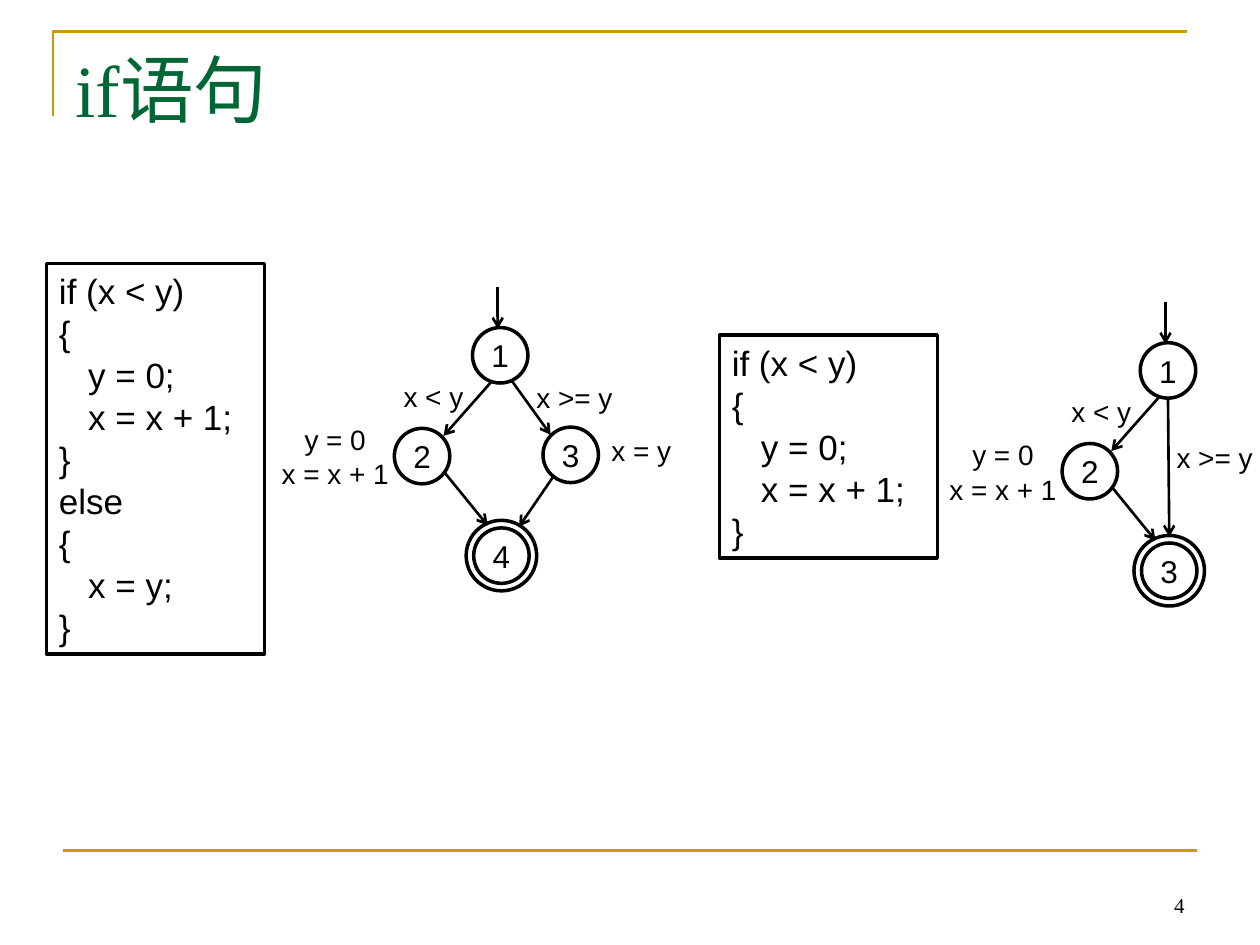
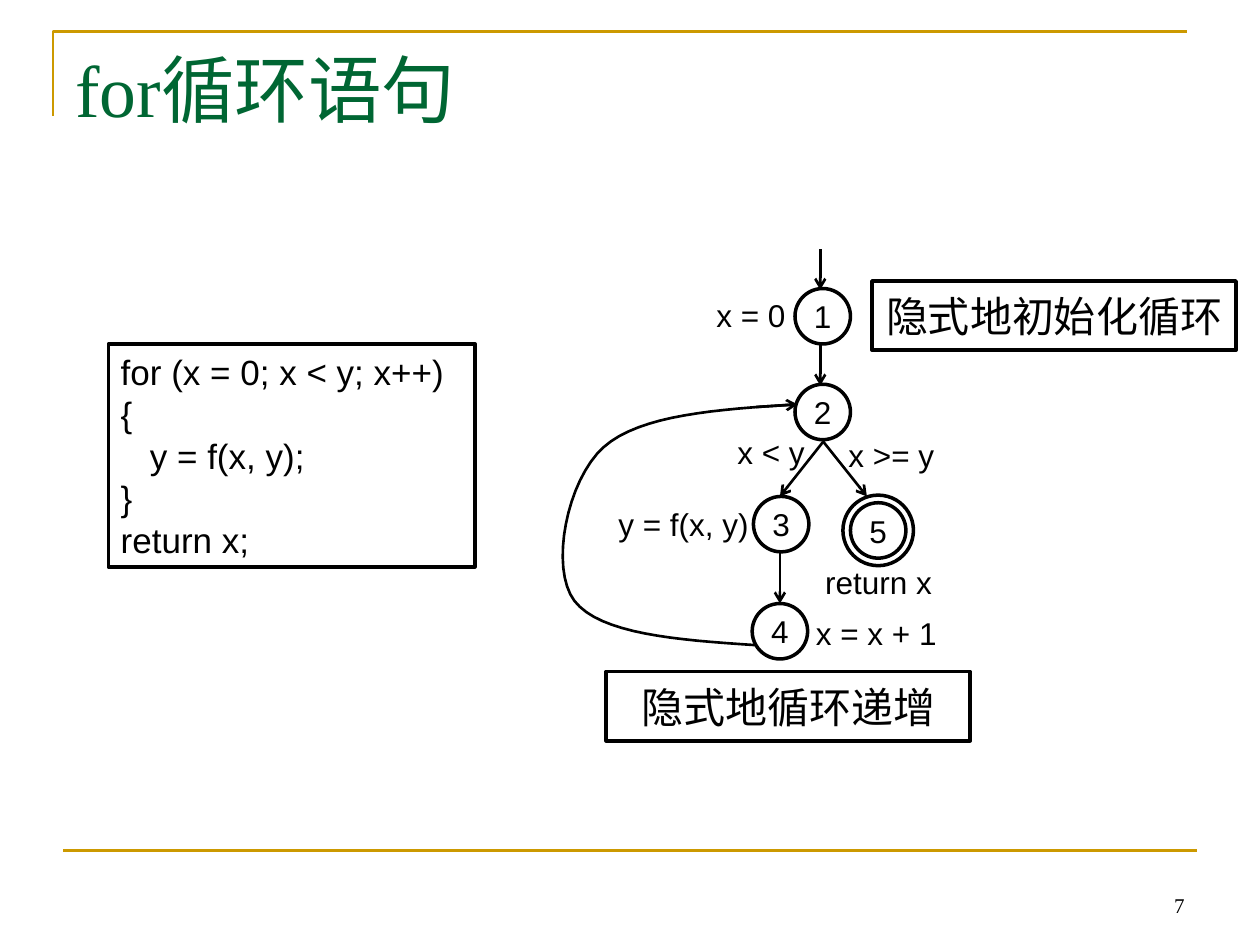
"""Build two slides on control flow graphs for if and for statements."""
from pptx import Presentation
from pptx.dml.color import RGBColor
from pptx.enum.shapes import MSO_CONNECTOR, MSO_SHAPE
from pptx.enum.text import MSO_ANCHOR, PP_ALIGN
from pptx.oxml.ns import qn
from pptx.util import Inches, Pt
from lxml.etree import SubElement

GOLD = RGBColor(0xCC, 0x99, 0x00)
GREEN = RGBColor(0x00, 0x66, 0x33)
BLACK = RGBColor(0x00, 0x00, 0x00)
WHITE = RGBColor(0xFF, 0xFF, 0xFF)
LEFT, CENTER, RIGHT = PP_ALIGN.LEFT, PP_ALIGN.CENTER, PP_ALIGN.RIGHT
NODE, RING_GAP = 0.44, 0.06


def write(sp, lines, size, font="Arial", color=BLACK, align=LEFT,
          anchor=MSO_ANCHOR.TOP, spacing=1, before=0):
    tf = sp.text_frame
    tf.word_wrap = True
    tf.vertical_anchor = anchor
    for i, line in enumerate(lines):
        p = tf.paragraphs[0] if i == 0 else tf.add_paragraph()
        p.alignment = align
        p.line_spacing = spacing
        p.space_before = Pt(before if i else 0)
        r = p.add_run()
        r.text = line
        r.font.name, r.font.size, r.font.color.rgb = font, Pt(size), color


def add_line(s, ends, color=BLACK, arrow=True):
    cn = s.shapes.add_connector(MSO_CONNECTOR.STRAIGHT, *map(Inches, ends))
    cn.line.color.rgb, cn.line.width = color, Pt(1.5)
    SubElement(cn._element.spPr, qn("a:effectLst"))
    if arrow:
        SubElement(cn.line._get_or_add_ln(), qn("a:tailEnd"), type="arrow")


if_code = ["if (x < y)", "{", "   y = 0;", "   x = x + 1;", "}"]
else_code = ["else", "{", "   x = y;", "}"]
for_code = ["for (x = 0; x < y; x++)", "{", "   y = f(x, y);", "}", "return x;"]

if_slide = {
    "title": "if语句", "number": "4", "label_size": 16,
    "codes": [(0.37, 2.09, 1.73, 3.1, if_code + else_code),
              (5.71, 2.66, 1.73, 1.77, if_code)],
    "notes": [],
    "nodes": [("3", 4.31, 3.39, False)],
    "arrows": [(4.06, 3.02, 4.37, 3.45), (4.4, 3.77, 4.12, 4.18),
               (9.27, 3.15, 9.28, 4.26)],
    "labels": [(4.08, 2.97, 0.96, 0.37, ["x >= y"], 1, CENTER),
               (4.61, 3.39, 0.96, 0.37, ["x = y"], 1, CENTER),
               (9.16, 3.45, 0.96, 0.37, ["x >= y"], 1, CENTER)],
}
for dx, dy, last in [(0, 0, "4"), (5.3, 0.12, "3")]:
    if_slide["nodes"] += [(name, x + dx, y + dy, final) for name, x, y, final in [
        ("1", 3.75, 2.6, False), ("2", 3.13, 3.4, False), (last, 3.76, 4.19, True)]]
    if_slide["arrows"] += [(x1 + dx, y1 + dy, x2 + dx, y2 + dy) for x1, y1, x2, y2 in [
        (3.95, 2.28, 3.95, 2.61), (3.9, 3.03, 3.52, 3.46), (3.52, 3.74, 3.87, 4.17)]]
    if_slide["labels"] += [
        (3.03 + dx, 2.96 + dy, 0.82, 0.37, ["x < y"], 1, CENTER),
        (2.12 + dx, 3.42 + dy, 1.08, 0.51, ["y = 0", "x = x + 1"], 0.5, CENTER)]

for_slide = {
    "title": "for循环语句", "number": "7", "label_size": 18,
    "codes": [(0.86, 2.73, 2.91, 1.77, for_code)],
    "notes": [(6.92, 2.23, "隐式地初始化循环"), (4.81, 5.33, "隐式地循环递增")],
    "nodes": [("1", 6.31, 2.29, False), ("2", 6.31, 3.05, False),
              ("3", 5.98, 3.94, False), ("4", 5.97, 4.79, False),
              ("5", 6.75, 3.99, True)],
    "arrows": [(6.51, 1.98, 6.51, 2.3), (6.51, 2.74, 6.51, 3.06),
               (6.53, 3.51, 6.19, 3.94), (6.53, 3.5, 6.88, 3.94),
               (6.19, 4.37, 6.19, 4.79), (6, 3.23, 6.33, 3.21)],
    "labels": [(5.55, 2.3, 0.82, 0.4, ["x = 0"], 1, CENTER),
               (5.71, 3.39, 0.82, 0.4, ["x < y"], 1, CENTER),
               (6.61, 3.41, 0.93, 0.4, ["x >= y"], 1, CENTER),
               (4.73, 4.09, 1.39, 0.25, ["y = f(x, y)"], 0.5, CENTER),
               (6.26, 4.95, 1.39, 0.25, ["x = x + 1"], 0.5, CENTER),
               (6.45, 4.42, 1.33, 0.4, ["return x"], 1, LEFT)],
}

prs = Presentation()
prs.slide_width, prs.slide_height = Inches(10), Inches(7.5)

for content in (if_slide, for_slide):
    s = prs.slides.add_slide(prs.slide_layouts[6])
    fb = s.shapes.build_freeform(Inches(0.42), Inches(0.92))
    fb.add_line_segments([(Inches(0.42), Inches(0.25)), (Inches(9.42), Inches(0.25))],
                         close=False)
    corner = fb.convert_to_shape()
    corner.shadow.inherit = False
    corner.fill.background()
    corner.line.color.rgb, corner.line.width = GOLD, Pt(1.5)
    add_line(s, (0.5, 6.75, 9.5, 6.75), GOLD, arrow=False)

    title = s.shapes.add_textbox(Inches(0.5), Inches(0.3), Inches(9), Inches(1.25))
    write(title, [content["title"]], 42, "Times New Roman", GREEN)
    number = s.shapes.add_textbox(Inches(7.17), Inches(6.83), Inches(2.33), Inches(0.5))
    write(number, [content["number"]], 12, "Times New Roman", align=RIGHT,
          anchor=MSO_ANCHOR.BOTTOM)

    for x, y, w, h, lines in content["codes"]:
        sp = s.shapes.add_shape(MSO_SHAPE.RECTANGLE, *map(Inches, (x, y, w, h)))
        sp.shadow.inherit = False
        sp.fill.solid()
        sp.fill.fore_color.rgb = WHITE
        sp.line.color.rgb, sp.line.width = BLACK, Pt(2)
        write(sp, lines, 20)

    for x, y, text in content["notes"]:
        sp = s.shapes.add_shape(MSO_SHAPE.RECTANGLE, *map(Inches, (x, y, 2.89, 0.55)))
        sp.shadow.inherit = False
        sp.fill.background()
        sp.line.color.rgb, sp.line.width = BLACK, Pt(2)
        write(sp, [text], 24, "Calibri", align=CENTER, anchor=MSO_ANCHOR.MIDDLE)

    for name, x, y, final in content["nodes"]:
        for gap in (0, RING_GAP) if final else (0,):
            d = NODE + 2 * gap
            sp = s.shapes.add_shape(MSO_SHAPE.OVAL, *map(Inches, (x - gap, y - gap, d, d)))
            sp.shadow.inherit = False
            sp.fill.background()
            sp.line.color.rgb, sp.line.width = BLACK, Pt(2)
            if gap == 0:
                tf = sp.text_frame
                tf.margin_left = tf.margin_right = tf.margin_top = tf.margin_bottom = 0
                write(sp, [name], 18, align=CENTER, anchor=MSO_ANCHOR.MIDDLE)

    for ends in content["arrows"]:
        add_line(s, ends)

    for x, y, w, h, lines, spacing, align in content["labels"]:
        sp = s.shapes.add_textbox(*map(Inches, (x, y, w, h)))
        write(sp, lines, content["label_size"], align=align, spacing=spacing, before=10)

loop_curves = [
    [(5.99, 5.12), (5.37, 5.08), (4.76, 5.03), (4.56, 4.77)],
    [(4.56, 4.77), (4.36, 4.51), (4.5, 3.81), (4.79, 3.55)],
    [(4.79, 3.55), (5.08, 3.29), (5.7, 3.25), (6.31, 3.21)],
]
steps = 16
points = []
for curve in loop_curves:
    for i in range(1, steps + 1):
        t = i / steps
        weights = ((1 - t) ** 3, 3 * t * (1 - t) ** 2, 3 * t ** 2 * (1 - t), t ** 3)
        points.append([Inches(sum(k * c for k, c in zip(weights, axis)))
                       for axis in zip(*curve)])
fb = s.shapes.build_freeform(*map(Inches, loop_curves[0][0]))
fb.add_line_segments(points, close=False)
back_edge = fb.convert_to_shape()
back_edge.shadow.inherit = False
back_edge.fill.background()
back_edge.line.color.rgb, back_edge.line.width = BLACK, Pt(1.5)

prs.save("out.pptx")
